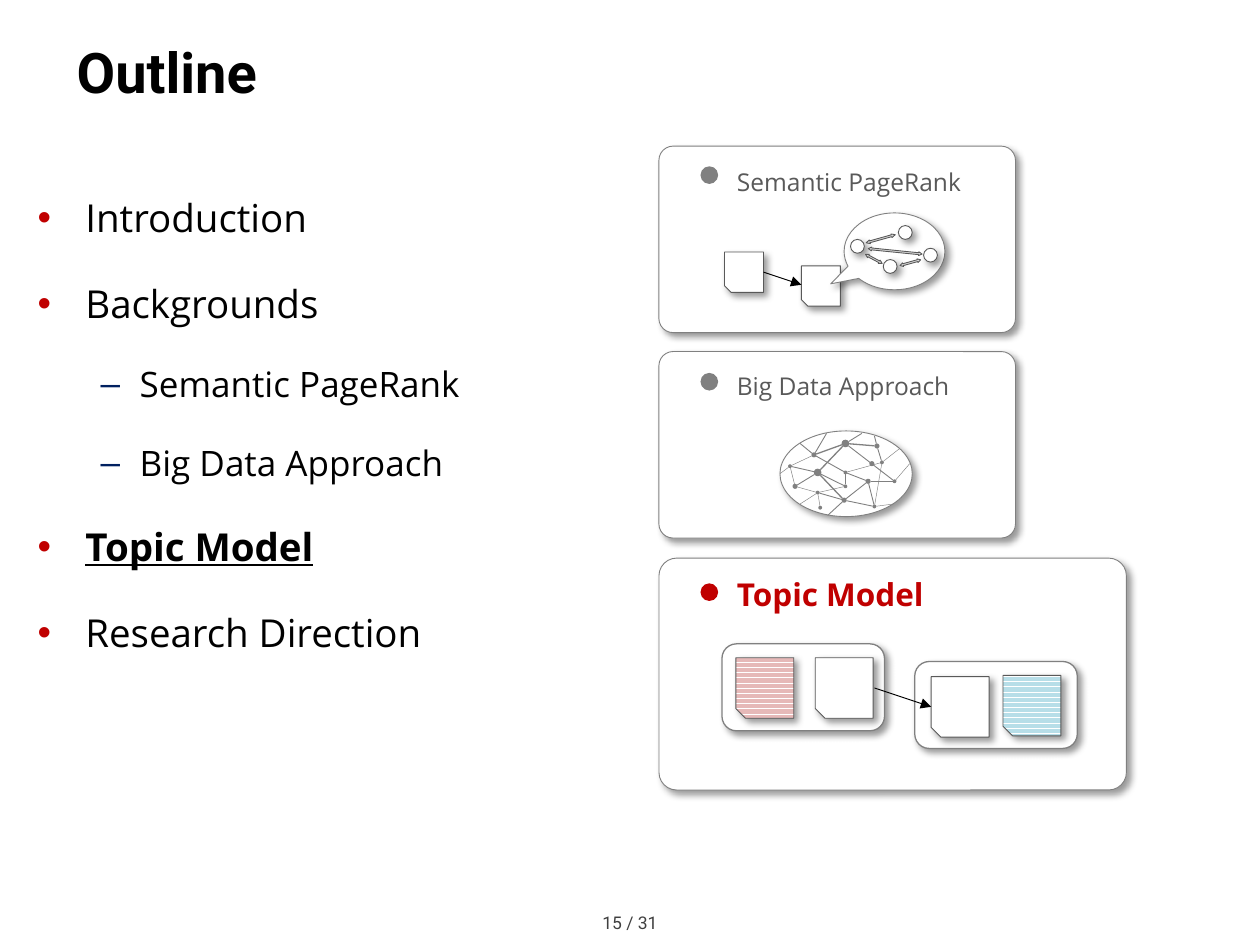
from math import hypot

from lxml import etree
from pptx import Presentation
from pptx.dml.color import RGBColor
from pptx.enum.dml import MSO_PATTERN
from pptx.enum.shapes import MSO_CONNECTOR, MSO_SHAPE
from pptx.enum.text import MSO_ANCHOR, PP_ALIGN
from pptx.oxml import parse_xml
from pptx.oxml.ns import nsdecls, qn
from pptx.util import Inches, Pt

ROUND, OVAL, SNIP = MSO_SHAPE.ROUNDED_RECTANGLE, MSO_SHAPE.OVAL, MSO_SHAPE.SNIP_1_RECTANGLE
CALLOUT, ARROW = MSO_SHAPE.OVAL_CALLOUT, MSO_SHAPE.LEFT_RIGHT_ARROW
STRIPES = MSO_PATTERN.DARK_HORIZONTAL
WHITE, BLACK, RED, GREY, DARK = "FFFFFF", "000000", "C00000", "808080", "595959"
BODY_FONT, HEAD_FONT = "Open Sans", "Roboto"

OUTLINE = [
    ("Introduction", 0, False),
    ("Backgrounds", 0, False),
    ("Semantic PageRank", 1, False),
    ("Big Data Approach", 1, False),
    ("Topic Model", 0, True),
    ("Research Direction", 0, False),
]
LEVELS = [
    {"size": 22, "bullet": "•", "bullet_color": RED, "indent": (0.38, -0.38)},
    {"size": 20, "bullet": "–", "bullet_color": "002060", "indent": (0.81, -0.31)},
]
CARD_LEFT = 5.23
CARDS = [
    ("Semantic PageRank", 1.16, 2.83, 1.48, 0.16, 0, {"size": 14, "color": DARK}, GREY),
    ("Big Data Approach", 2.79, 2.83, 1.48, 0.17, -0.01, {"size": 14, "color": DARK}, GREY),
    ("Topic Model", 4.43, 3.71, 1.84, 0.20, 0.04, {"size": 18, "color": RED, "bold": True}, RED),
]
TOPIC_FRAMES = [(5.73, 5.11), (7.26, 5.25)]
TOPIC_PAGES = [(5.84, 5.22, "E6B9B8"), (7.96, 5.36, "B7DEE8"), (7.39, 5.37, None), (6.47, 5.22, None)]
RANK_PAGES = [(6.36, 2.11), (5.75, 2.0)]
RANK_NODES = [(7.13, 1.79), (7.01, 2.06), (7.33, 1.97), (6.75, 1.9)]
RANK_ARROWS = [
    (6.87, 1.88, 0.24, 344.4, 1.03),
    (6.86, 2.04, 0.15, 28.2, 0.87),
    (6.89, 1.98, 0.43, 5.8, 0.91),
    (7.14, 2.07, 0.17, 344.5, 0.85),
]
NETWORK = {
    "a": (6.46, 3.61, 0.04), "b": (6.49, 3.91, 0.03), "c": (6.71, 3.75, 0.03),
    "d": (6.94, 4.02, 0.03), "e": (7.0, 3.67, 0.03), "f": (7.1, 3.82, 0.03),
    "g": (6.7, 3.97, 0.04), "h": (6.49, 3.75, 0.06), "i": (6.96, 3.54, 0.04),
    "j": (6.89, 3.82, 0.04), "k": (6.27, 3.7, 0.03), "l": (6.71, 3.52, 0.06),
    "m": (6.71, 3.86, 0.03), "n": (6.31, 3.86, 0.04), "o": (6.51, 4.03, 0.03),
    "p": (6.92, 3.68, 0.04),
}
LINKS = {
    0.75: "lh li la gh",
    0.5: "ca fl jg gb dg jd jc ie fj hm hn hk",
    0.25: "ak ec cm mb kn nb ed bo",
}
RIM_LINKS = [
    ("a", 6.35, 3.52, 0.5), ("a", 6.56, 3.44, 0.5), ("i", 6.94, 3.46, 0.5),
    ("l", 6.84, 3.44, 0.5), ("g", 6.57, 4.09, 0.5), ("e", 7.14, 3.56, 0.25),
    ("b", 6.35, 4.0, 0.25), ("k", 6.19, 3.76, 0.25), ("d", 7.09, 4.0, 0.25),
    ("f", 7.22, 3.68, 0.25),
]


def rgb(value):
    """Turn a hex string into a colour."""
    return RGBColor.from_string(value)


def add_shape(kind, x, y, w, h, fill=WHITE, line=None, width=0.5, shadow=False,
              rotation=0, adjust=(), stripes=None):
    """Add a preset shape, optionally striped, turned or shadowed."""
    s = slide.shapes.add_shape(kind, Inches(x), Inches(y), Inches(w), Inches(h))
    s.shadow.inherit = False
    s.rotation = rotation
    for i, value in enumerate(adjust):
        s.adjustments[i] = value
    if stripes:
        s.fill.patterned()
        s.fill.pattern = STRIPES
        s.fill.fore_color.rgb, s.fill.back_color.rgb = rgb(stripes), rgb(fill)
    else:
        s.fill.solid()
        s.fill.fore_color.rgb = rgb(fill)
    if line:
        s.line.color.rgb = rgb(line)
        s.line.width = Pt(width)
    else:
        s.line.fill.background()
    if shadow:
        s._element.spPr.find(qn("a:effectLst")).append(parse_xml(
            f'<a:outerShdw {nsdecls("a")} blurRad="{Pt(4)}" dist="{Pt(3)}" dir="2700000" algn="tl" '
            'rotWithShape="0"><a:srgbClr val="000000"><a:alpha val="40000"/></a:srgbClr></a:outerShdw>'))
    return s


def add_line(start, end, color=GREY, width=0.5, arrow=False):
    """Add a straight line, with an arrowhead at its end if asked."""
    s = slide.shapes.add_connector(MSO_CONNECTOR.STRAIGHT, *map(Inches, (*start, *end)))
    s.line.color.rgb = rgb(color)
    s.line.width = Pt(width)
    if arrow:
        etree.SubElement(s.line._get_or_add_ln(), qn("a:tailEnd"), type="triangle")
    etree.SubElement(s._element.spPr, qn("a:effectLst"))


def add_box(x, y, w, h, anchor=MSO_ANCHOR.TOP, side=0.1):
    """Add an empty wrapping text box and return its text frame."""
    tf = slide.shapes.add_textbox(Inches(x), Inches(y), Inches(w), Inches(h)).text_frame
    tf.word_wrap = True
    tf.vertical_anchor = anchor
    tf.margin_left = tf.margin_right = Inches(side)
    return tf


def write(p, text, size, color=BLACK, font=BODY_FONT, bold=False, underline=False, align=None,
          spacing=None, before=None, after=None, bullet=None, bullet_color=None, indent=None):
    """Fill a paragraph with one formatted run."""
    if bullet:
        pPr = p._p.get_or_add_pPr()
        pPr.set("marL", str(Inches(indent[0])))
        pPr.set("indent", str(Inches(indent[1])))
        etree.SubElement(etree.SubElement(pPr, qn("a:buClr")), qn("a:srgbClr"), val=bullet_color)
        etree.SubElement(pPr, qn("a:buFont"), typeface="Arial")
        etree.SubElement(pPr, qn("a:buChar"), char=bullet)
    p.alignment, p.line_spacing = align, spacing
    p.space_before, p.space_after = before, after
    r = p.add_run()
    r.text = text
    r.font.size, r.font.name = Pt(size), font
    r.font.bold, r.font.underline = bold, underline
    r.font.color.rgb = rgb(color)


def add_page(x, y, w, h, stripes=None):
    """Add a sheet of paper with a snipped lower left corner."""
    add_shape(SNIP, x, y, w, h, line=DARK, shadow=True, rotation=180, stripes=stripes)


def link(name, target, target_size, width):
    """Join a network node to a point, leaving both dots clear."""
    x, y, size = NETWORK[name]
    dx, dy = target[0] - x, target[1] - y
    length = hypot(dx, dy)
    near, far = size / 2 / length, 1 - target_size / 2 / length
    add_line((x + dx * near, y + dy * near), (x + dx * far, y + dy * far), width=width)


prs = Presentation()
prs.slide_width, prs.slide_height = Inches(10), Inches(7.5)
slide = prs.slides.add_slide(prs.slide_layouts[6])

write(add_box(0, 7.19, 10, 0.27, side=0.08).paragraphs[0], "15 / 31", 10, "404040", HEAD_FONT,
      align=PP_ALIGN.CENTER)
write(add_box(0.51, 0.13, 9.29, 0.87, MSO_ANCHOR.MIDDLE).paragraphs[0], "Outline", 32,
      font=HEAD_FONT, bold=True)

body = add_box(0.2, 1.31, 9.61, 5.83)
for i, (text, level, current) in enumerate(OUTLINE):
    p = body.add_paragraph() if i else body.paragraphs[0]
    p.level = level
    before = Pt(0.2 * LEVELS[level]["size"]) if i else None
    write(p, text, bold=current, underline=current, spacing=1.5, before=before, after=Pt(5),
          **LEVELS[level])

for text, top, width, height, dot_drop, text_drop, style, dot_color in CARDS:
    add_shape(ROUND, CARD_LEFT, top, width, height, line=GREY, shadow=True, adjust=[0.076])
    add_shape(OVAL, CARD_LEFT + 0.33, top + dot_drop, 0.14, 0.14, dot_color)
    write(add_box(CARD_LEFT + 0.52, top + text_drop, 2.3, 0.43).paragraphs[0], text,
          spacing=Pt(25), **style)

for x, y in TOPIC_FRAMES:
    add_shape(ROUND, x, y, 1.29, 0.69, line=GREY, width=0.75, shadow=True)
for x, y, stripes in TOPIC_PAGES:
    add_page(x, y, 0.46, 0.48, stripes)
add_line((6.94, 5.46), (7.39, 5.61), BLACK, arrow=True)

for x, y in RANK_PAGES:
    add_page(x, y, 0.31, 0.32)
add_line((6.06, 2.16), (6.36, 2.26), BLACK, arrow=True)
add_shape(CALLOUT, 6.7, 1.69, 0.8, 0.61, line=GREY, shadow=True, adjust=[-0.634, 0.423])
for x, y in RANK_NODES:
    add_shape(OVAL, x, y, 0.11, 0.11, line=DARK, shadow=True)
for x, y, length, angle, head in RANK_ARROWS:
    add_shape(ARROW, x, y, length, 0.03, "D9D9D9", DARK, rotation=angle, adjust=[0.5, head])

add_shape(OVAL, 6.19, 3.42, 1.05, 0.68, line=GREY, shadow=True)
for width, pairs in LINKS.items():
    for start, end in pairs.split():
        link(start, NETWORK[end][:2], NETWORK[end][2], width)
for name, x, y, width in RIM_LINKS:
    link(name, (x, y), 0, width)
for x, y, size in NETWORK.values():
    add_shape(OVAL, x - size / 2, y - size / 2, size, size, GREY)

prs.save("out.pptx")
